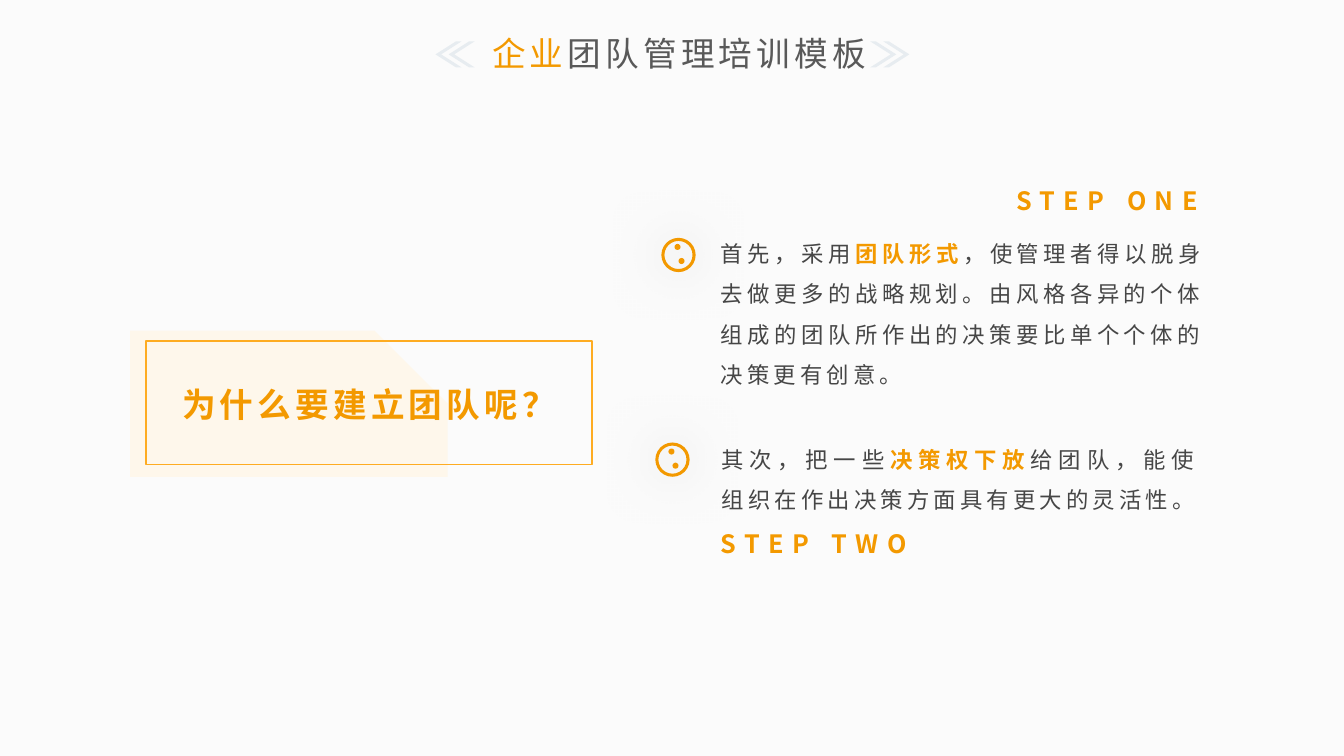
"""Build the team management training slide."""
import math
from lxml import etree
from pptx import Presentation
from pptx import util as u
from pptx.dml.color import RGBColor
from pptx.enum import shapes, text
from pptx.oxml.ns import qn

ORANGE = RGBColor(0xF3, 0x99, 0x00)
AMBER = RGBColor(0xFE, 0xAC, 0x22)
CREAM = RGBColor(0xFE, 0xF7, 0xEB)
PALE = RGBColor(0xE7, 0xEC, 0xF0)
GREY = RGBColor(0x59, 0x59, 0x59)
DARK = RGBColor(0x46, 0x46, 0x46)
PAPER = RGBColor(0xFB, 0xFB, 0xFB)
FACE = "Noto Sans CJK SC"
WIDTH, HEIGHT = 13.33, 7.5

KIND = shapes.MSO_SHAPE
CENTER, LEFT, JUSTIFY = text.PP_ALIGN.CENTER, text.PP_ALIGN.LEFT, text.PP_ALIGN.JUSTIFY
HEADING = dict(size=24, gap=3, align=CENTER, spacing=1, wrap=False)
BODY = dict(size=16, gap=3, align=JUSTIFY, spacing=1.5, wrap=True)
STEP = dict(size=18, gap=6, align=LEFT, spacing=1, wrap=True)
TEXTS = [
    ((4.74, 0.28, 3.99, 0.5), HEADING,
     [("企业", ORANGE, False), ("团队管理培训模板", GREY, False)]),
    ((1.62, 3.76, 4.08, 0.5), HEADING, [("为什么要建立团队呢？", ORANGE, True)]),
    ((7.05, 2.2, 5, 1.67), BODY,
     [("首先，采用", DARK, False), ("团队形式", ORANGE, True),
      ("，使管理者得以脱身去做更多的战略规划。由风格各异的个体组成的团队所作出的决策要比单个个体的决策更有创意。", DARK, False)]),
    ((7.06, 4.24, 4.92, 0.87), BODY,
     [("其次，把一些", DARK, False), ("决策权下放", ORANGE, True),
      ("给团队，能使组织在作出决策方面具有更大的灵活性。", DARK, False)]),
    ((9.98, 1.79, 2.42, 0.4), STEP, [("STEP ONE", ORANGE, True)]),
    ((7.05, 5.19, 2.42, 0.4), STEP, [("STEP TWO", ORANGE, True)]),
]
CHEVRON_SIZE = 0.26
CHEVRONS = [(8.63, False), (8.76, False), (4.45, True), (4.32, True)]
PLANET_CENTERS = [(6.73, 2.52), (6.67, 4.55)]
GLOBE_RADIUS, MOON_RADIUS = 0.18, 0.03
MOONS = [(-0.01, -0.07), (0.03, 0.07)]
RING_EDGES = [(0.25, 0.1), (0.22, 0.07)]
RING_TILT = math.radians(-44)
RING_ANGLES = range(-52, 233, 4)


def ring_edge(reach, depth):
    points = []
    for angle in map(math.radians, RING_ANGLES):
        along, across = reach * math.cos(angle), depth * math.sin(angle)
        points.append((along * math.cos(RING_TILT) - across * math.sin(RING_TILT),
                       along * math.sin(RING_TILT) + across * math.cos(RING_TILT)))
    return points


def paint(shape, fill, line=None):
    shape.shadow.inherit = False
    if fill is None:
        shape.fill.background()
    else:
        shape.fill.solid()
        shape.fill.fore_color.rgb = fill
    if line is None:
        shape.line.fill.background()
    else:
        shape.line.color.rgb = line
        shape.line.width = u.Pt(1.25)


def add_preset(parent, kind, area, fill, line=None):
    shape = parent.shapes.add_shape(kind, *map(u.Inches, area))
    paint(shape, fill, line)
    return shape


def add_disc(parent, kind, x, y, radius):
    return add_preset(parent, kind, (x - radius, y - radius, 2 * radius, 2 * radius), ORANGE)


def add_glow(shape):
    effects = shape._element.spPr.find(qn("a:effectLst"))
    glow = etree.SubElement(effects, qn("a:outerShdw"), blurRad=str(u.Pt(35)), algn="ctr")
    tint = etree.SubElement(glow, qn("a:srgbClr"), val="BFBFBF")
    etree.SubElement(tint, qn("a:alpha"), val="97000")


def add_planet(page, x, y):
    planet = page.shapes.add_group_shape()
    globe = add_disc(planet, KIND.DONUT, x, y + 0.01, GLOBE_RADIUS - 0.01)
    globe.adjustments[0] = 0.09
    add_glow(globe)
    for right, down in MOONS:
        add_disc(planet, KIND.OVAL, x + right, y + down, MOON_RADIUS)
    outer, inner = (ring_edge(*edge) for edge in RING_EDGES)
    outline = outer + inner[::-1]
    builder = planet.shapes.build_freeform(*outline[0], scale=u.Inches(1))
    builder.add_line_segments(outline[1:], close=True)
    paint(builder.convert_to_shape(u.Inches(x), u.Inches(y - 0.01)), ORANGE)


def add_text(page, area, style, spans):
    box = page.shapes.add_textbox(*map(u.Inches, area))
    frame = box.text_frame
    frame.word_wrap = style["wrap"]
    frame.auto_size = text.MSO_AUTO_SIZE.SHAPE_TO_FIT_TEXT
    para = frame.paragraphs[0]
    para.alignment = style["align"]
    para.line_spacing = style["spacing"]
    for words, colour, bold in spans:
        span = para.add_run()
        span.text = words
        span.font.size = u.Pt(style["size"])
        span.font.bold = bold
        span.font.color.rgb = colour
        span.font.name = FACE
        properties = span._r.get_or_add_rPr()
        properties.set("spc", str(style["gap"] * 100))
        properties.set("lang", "zh-CN")
        etree.SubElement(properties, qn("a:ea"), typeface=FACE)


def main():
    deck = Presentation()
    deck.slide_width, deck.slide_height = u.Inches(WIDTH), u.Inches(HEIGHT)
    page = deck.slides.add_slide(deck.slide_layouts[6])
    page.background.fill.solid()
    page.background.fill.fore_color.rgb = PAPER
    for left, flipped in CHEVRONS:
        chevron = add_preset(page, KIND.CHEVRON, (left, 0.41, CHEVRON_SIZE, CHEVRON_SIZE), PALE)
        chevron.adjustments[0] = 0.786
        if flipped:
            chevron._element.spPr.xfrm.set("flipH", "1")
    card = add_preset(page, KIND.SNIP_1_RECTANGLE, (1.29, 3.28, 3.15, 1.45), CREAM)
    card.adjustments[0] = 0.5
    add_preset(page, KIND.RECTANGLE, (1.45, 3.38, 4.42, 1.23), None, AMBER)
    for center in PLANET_CENTERS:
        add_planet(page, *center)
    for entry in TEXTS:
        add_text(page, *entry)
    deck.save("out.pptx")


if __name__ == "__main__":
    main()
